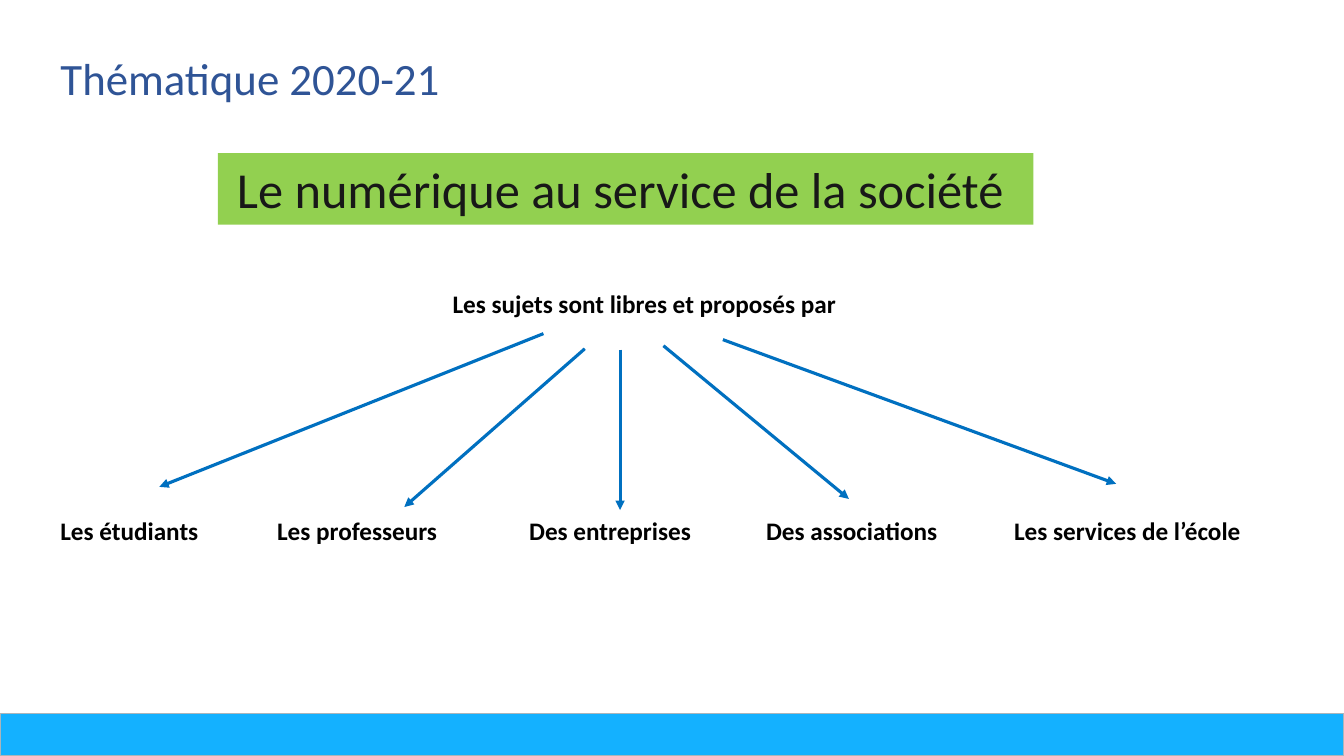
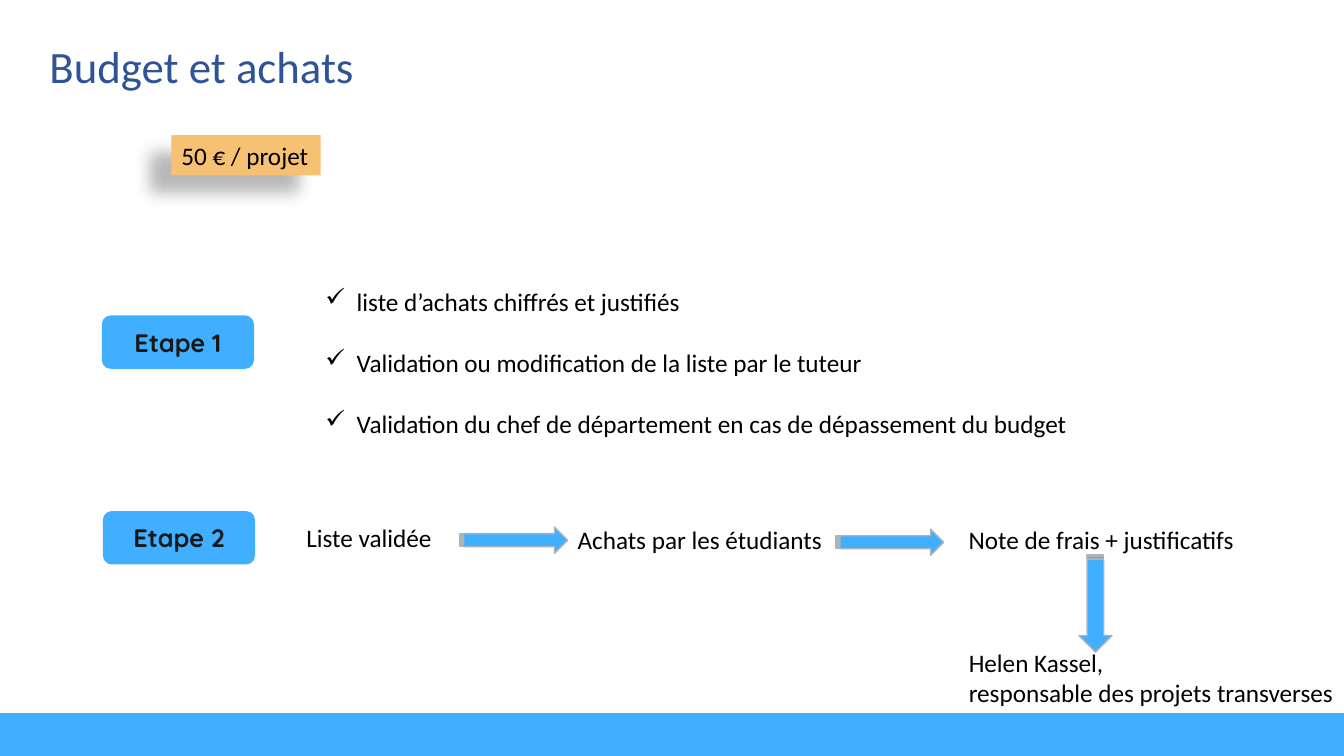
from dataclasses import dataclass

from lxml import etree
from pptx import Presentation
from pptx.dml.color import RGBColor
from pptx.enum import shapes, text
from pptx.oxml import ns
from pptx.util import Inches, Pt


@dataclass(frozen=True)
class Theme:
    title: str = "2F5496"
    black: str = "000000"
    ink: str = "181818"
    sky: str = "14B1FF"
    blue: str = "40AFFF"
    green: str = "92D050"
    orange: str = "F6C173"
    border: str = "AAB5BB"
    arrow: str = "0070C0"
    font: str = "Calibri"
    badge_font: str = "Quicksand"
    title_size: int = 32
    theme_size: int = 36
    body_size: int = 18


THEME = Theme()


def add_element(parent, tag, **attributes):
    return etree.SubElement(parent, ns.qn(tag), attributes)


class Deck:
    def __init__(self, theme):
        self.theme = theme
        self.presentation = Presentation()
        self.presentation.slide_width = Inches(13.33)
        self.presentation.slide_height = Inches(7.5)
        self.slide = None

    def add_slide(self, title, left, top, width, band_fill, band_line):
        """Start a slide with its title and bottom band."""
        self.slide = self.presentation.slides.add_slide(self.presentation.slide_layouts[5])
        self.box(shapes.MSO_SHAPE.RECTANGLE, 0, 7.08, 13.33, 0.42, band_fill, band_line)
        shape = self.slide.shapes.title
        self.place(shape, left, top, width, 0.64)
        self.fill_text(shape, [title], self.theme.title_size, self.theme.title, wrap=False)

    def place(self, shape, left, top, width, height):
        shape.left, shape.top = Inches(left), Inches(top)
        shape.width, shape.height = Inches(width), Inches(height)

    def fill_text(self, shape, lines, size=None, color=None, font=None, bold=False,
                  wrap=True, centred=False, bullet=None, gap=0):
        frame = shape.text_frame
        frame.word_wrap = wrap
        frame.auto_size = (text.MSO_AUTO_SIZE.NONE if centred
                           else text.MSO_AUTO_SIZE.SHAPE_TO_FIT_TEXT)
        frame.vertical_anchor = text.MSO_ANCHOR.MIDDLE if centred else text.MSO_ANCHOR.TOP
        for index, line in enumerate(lines):
            paragraph = frame.add_paragraph() if index else frame.paragraphs[0]
            paragraph.alignment = text.PP_ALIGN.CENTER if centred else text.PP_ALIGN.LEFT
            if index and gap:
                paragraph.space_before = Pt(gap)
            if bullet:
                properties = paragraph._p.get_or_add_pPr()
                properties.set("marL", str(Inches(0.31)))
                properties.set("indent", str(-Inches(0.31)))
                add_element(properties, "a:buChar", char=bullet)
            run = paragraph.add_run()
            run.text = line
            run.font.name = font or self.theme.font
            run.font.size = Pt(size or self.theme.body_size)
            run.font.bold = bold
            run.font.color.rgb = RGBColor.from_string(color or self.theme.black)

    def label(self, lines, left, top, width, height=0.4, **style):
        shape = self.slide.shapes.add_textbox(
            Inches(left), Inches(top), Inches(width), Inches(height))
        self.fill_text(shape, lines, **style)
        return shape

    def box(self, kind, left, top, width, height, fill, line=None):
        shape = self.slide.shapes.add_shape(
            kind, Inches(left), Inches(top), Inches(width), Inches(height))
        shape.shadow.inherit = False
        shape.fill.solid()
        shape.fill.fore_color.rgb = RGBColor.from_string(fill)
        if line:
            shape.line.color.rgb = RGBColor.from_string(line)
            shape.line.width = Pt(1)
        else:
            shape.line.fill.background()
        return shape

    def badge(self, caption, left, top):
        shape = self.box(shapes.MSO_SHAPE.ROUNDED_RECTANGLE, left, top, 1.51, 0.53,
                         self.theme.blue)
        self.fill_text(shape, [caption], color=self.theme.ink, font=self.theme.badge_font,
                       bold=True, centred=True)

    def block_arrow(self, left, top, width, height, rotation=0):
        shape = self.box(shapes.MSO_SHAPE.STRIPED_RIGHT_ARROW, left, top, width, height,
                         self.theme.blue, self.theme.border)
        shape.rotation = rotation

    def arrow(self, start, end, target=None):
        """Draw a thin arrow, joined to the top of target if there is one."""
        connector = self.slide.shapes.add_connector(
            shapes.MSO_CONNECTOR.STRAIGHT, *map(Inches, start + end))
        connector.line.color.rgb = RGBColor.from_string(self.theme.arrow)
        connector.line.width = Pt(2.25)
        add_element(connector.line._get_or_add_ln(), "a:tailEnd", type="triangle")
        add_element(connector._element.spPr, "a:effectLst")
        if target is not None:
            connector.end_connect(target, 0)

    def cast_shadow(self, shape, blur, distance, degrees, opacity):
        effects = shape._element.spPr.find(ns.qn("a:effectLst"))
        shadow = add_element(effects, "a:outerShdw", blurRad=str(Pt(blur)),
                             dist=str(Pt(distance)), dir=str(degrees * 60000),
                             algn="tr", rotWithShape="0")
        color = add_element(shadow, "a:srgbClr", val=self.theme.black)
        add_element(color, "a:alpha", val=str(opacity * 1000))


def build_theme_slide(deck):
    theme = deck.theme
    deck.add_slide("Thématique 2020-21", 0.5, 0.45, 4.01, theme.sky, theme.border)
    banner = deck.box(shapes.MSO_SHAPE.RECTANGLE, 2.16, 1.52, 8.09, 0.71, theme.green)
    banner.text_frame.margin_left = Inches(0.19)
    deck.fill_text(banner, ["Le numérique au service de la société"],
                   theme.theme_size, theme.ink)
    deck.label(["Les sujets sont libres et proposés par"], 4.39, 2.81, 4.03,
               bold=True, wrap=False)

    proposers = [
        ("Les étudiants", 0.5, 2.15, (5.39, 3.31), (1.58, 4.83)),
        ("Les professeurs", 2.65, 2.41, (5.8, 3.46), (4.01, 5.03)),
        ("Des entreprises", 5.15, 2, (6.15, 3.47), (6.15, 5.06)),
        ("Des associations", 7.5, 2, (6.58, 3.43), (8.42, 4.95)),
        ("Les services de l’école", 9.96, 2.73, (7.17, 3.37), (11.07, 4.8)),
    ]
    label_top = 5.06
    for name, left, width, start, end in proposers:
        proposer = deck.label([name], left, label_top, width, bold=True)
        deck.arrow(start, end, proposer if end[1] == label_top else None)


def build_budget_slide(deck):
    theme = deck.theme
    deck.add_slide("Budget et achats", 0.39, 0.33, 3.35, theme.blue, theme.blue)
    budget = deck.box(shapes.MSO_SHAPE.RECTANGLE, 1.7, 1.34, 1.48, 0.4, theme.orange)
    deck.fill_text(budget, ["50 € / projet"], wrap=False)
    deck.cast_shadow(budget, blur=11.8, distance=19.7, degrees=141, opacity=28)

    deck.badge("Etape 1", 1.01, 3.13)
    deck.label(["liste d’achats chiffrés et justifiés",
                "Validation ou modification de la liste par le tuteur",
                "Validation du chef de département en cas de dépassement du budget"],
               3.13, 2.79, 7.66, 1.62, wrap=False, bullet="✓", gap=22)

    deck.badge("Etape 2", 1.02, 5.07)
    deck.label(["Liste validée"], 2.94, 5.13, 1.87)
    deck.block_arrow(4.56, 5.23, 1.07, 0.26)
    deck.label(["Achats par les étudiants"], 5.63, 5.15, 2.65, wrap=False)
    deck.block_arrow(8.29, 5.25, 1.07, 0.26)
    deck.label(["Note de frais + justificatifs"], 9.51, 5.15, 2.86, wrap=False)
    deck.block_arrow(10.38, 5.82, 0.97, 0.33, rotation=90)
    deck.label(["Helen Kassel,", "responsable des projets transverses"],
               9.51, 6.37, 3.91, 0.71, wrap=False)


def main():
    deck = Deck(THEME)
    build_theme_slide(deck)
    build_budget_slide(deck)
    deck.presentation.save("out.pptx")


if __name__ == "__main__":
    main()
